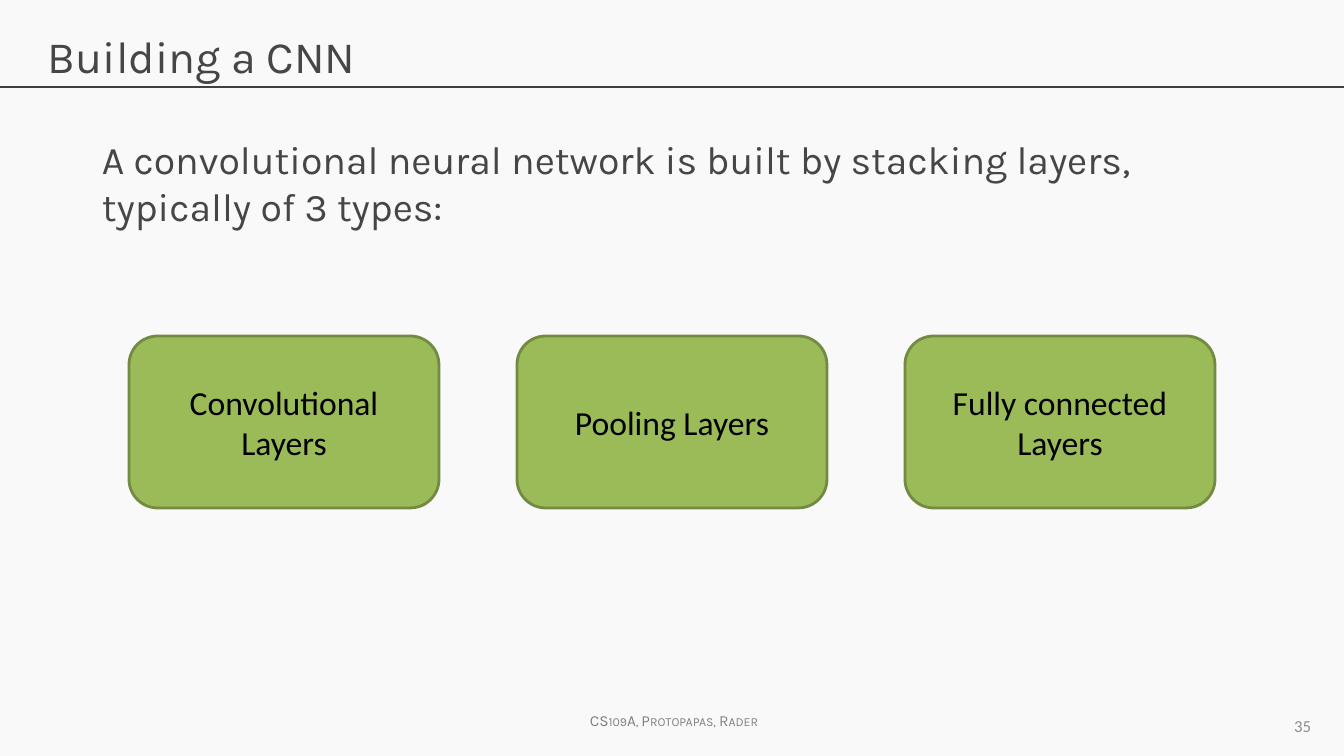
import pptx
import pptx.dml.color
import pptx.enum.shapes
import pptx.enum.text
import pptx.oxml
import pptx.oxml.ns
import pptx.util

COLOURS = {
    "background": "F9F9F9",
    "heading": "464646",
    "rule": "404040",
    "footer": "808080",
    "number": "8C8C8C",
    "layer": "9BBB59",
    "outline": "738A42",
    "label": "000000",
}
ALIGN = pptx.enum.text.PP_ALIGN
ANCHOR = pptx.enum.text.MSO_ANCHOR


class SlideBuilder:
    """Draws styled elements on one slide, with lengths in px."""

    def __init__(self, presentation, width, height):
        self.scale = 914400 / 100.8
        presentation.slide_width = self.emu(width)
        presentation.slide_height = self.emu(height)
        self.slide = presentation.slides.add_slide(presentation.slide_layouts[6])
        self.paint(self.slide.background.fill, "background")

    def emu(self, pixels):
        return pptx.util.Emu(round(pixels * self.scale))

    def paint(self, fill, colour):
        fill.solid()
        fill.fore_color.rgb = pptx.dml.color.RGBColor.from_string(COLOURS[colour])

    def fill_text(self, shape, text, size, colour, font="Karla", align=ALIGN.LEFT,
                  anchor=ANCHOR.TOP, wrap=True, small_caps=False):
        frame = shape.text_frame
        paragraph = frame.paragraphs[0]
        run = paragraph.add_run()
        formats = (
            (frame, {"word_wrap": wrap, "vertical_anchor": anchor}),
            (paragraph, {"alignment": align}),
            (run, {"text": text}),
            (run.font, {"name": font, "size": pptx.util.Pt(size)}),
        )
        for target, values in formats:
            for name, value in values.items():
                setattr(target, name, value)
        self.paint(run.font.fill, colour)
        if small_caps:
            run._r.get_or_add_rPr().set("cap", "small")

    def text(self, box, text, size, colour, **style):
        shape = self.slide.shapes.add_textbox(*map(self.emu, box))
        self.fill_text(shape, text, size, colour, **style)

    def rule(self, y, width):
        line = self.slide.shapes.add_connector(
            pptx.enum.shapes.MSO_CONNECTOR.STRAIGHT,
            0, self.emu(y), self.emu(width), self.emu(y))
        self.paint(line.line.fill, "rule")
        line.line.width = pptx.util.Pt(0.75)
        line._element.spPr.append(
            pptx.oxml.parse_xml(f"<a:effectLst {pptx.oxml.ns.nsdecls('a')}/>"))

    def layer(self, box, text):
        shape = self.slide.shapes.add_shape(
            pptx.enum.shapes.MSO_SHAPE.ROUNDED_RECTANGLE, *map(self.emu, box))
        shape.shadow.inherit = False
        self.paint(shape.fill, "layer")
        self.paint(shape.line.fill, "outline")
        shape.line.width = pptx.util.Pt(2)
        self.fill_text(shape, text, 24, "label", font="Calibri",
                       align=ALIGN.CENTER, anchor=ANCHOR.MIDDLE)


def main():
    presentation = pptx.Presentation()
    builder = SlideBuilder(presentation, 1344, 756)
    builder.rule(87, 1344)
    builder.text((580, 706, 199, 29), "CS109A, Protopapas, Rader", 11, "footer",
                 wrap=False, small_caps=True)
    builder.text((38, 24, 1267, 85), "Building a CNN", 32, "heading")
    builder.text((92, 130, 1138, 535),
                 "A convolutional neural network is built by stacking layers, "
                 "typically of 3 types:", 28, "heading")
    builder.text((1008, 706, 313, 40), "35", 12, "number", font="Calibri",
                 align=ALIGN.RIGHT, anchor=ANCHOR.MIDDLE)
    layers = ("Convolutional Layers", "Pooling Layers", "Fully connected Layers")
    for index, name in enumerate(layers):
        builder.layer((129 + 388 * index, 336, 310, 172), name)
    presentation.save("out.pptx")


if __name__ == "__main__":
    main()
